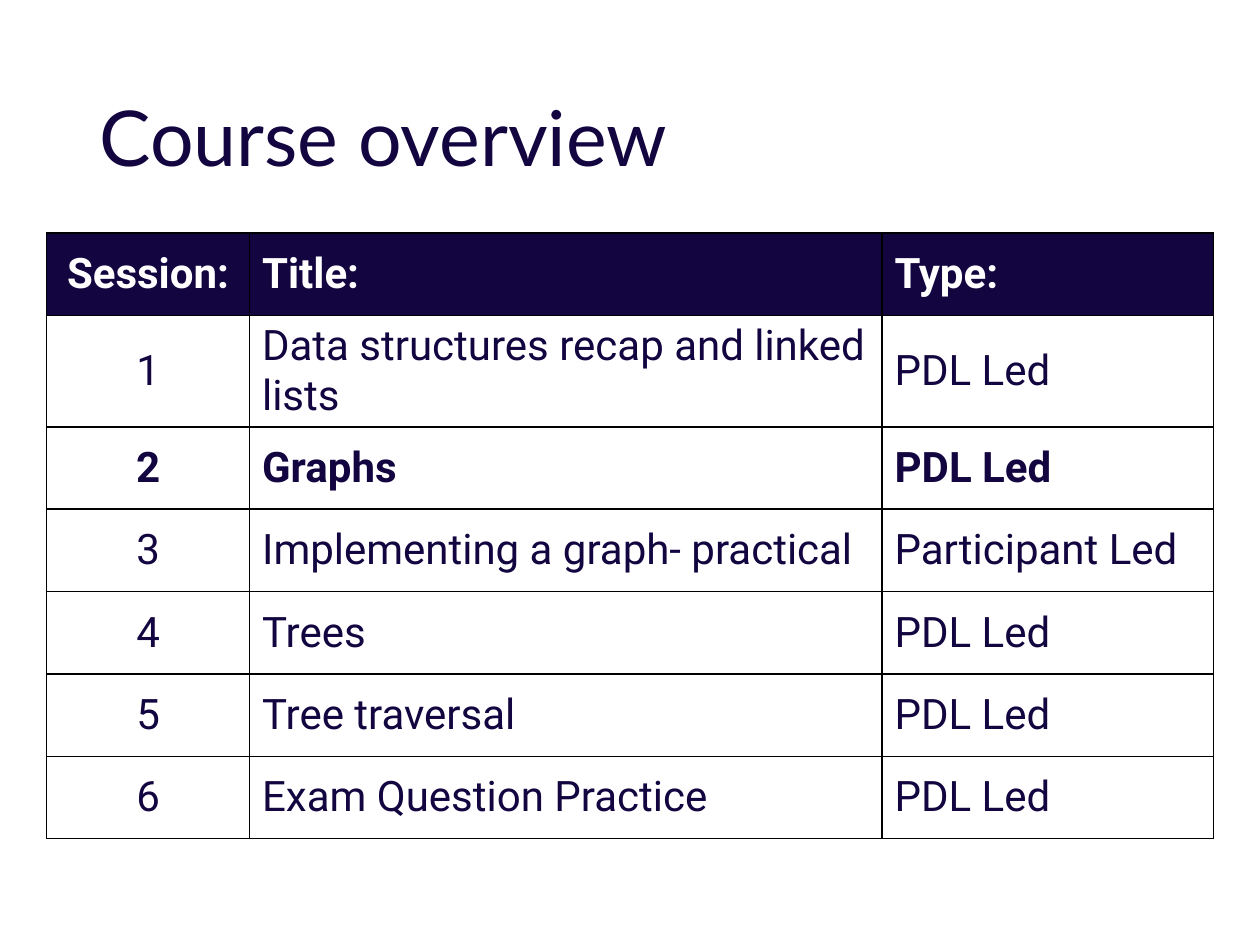
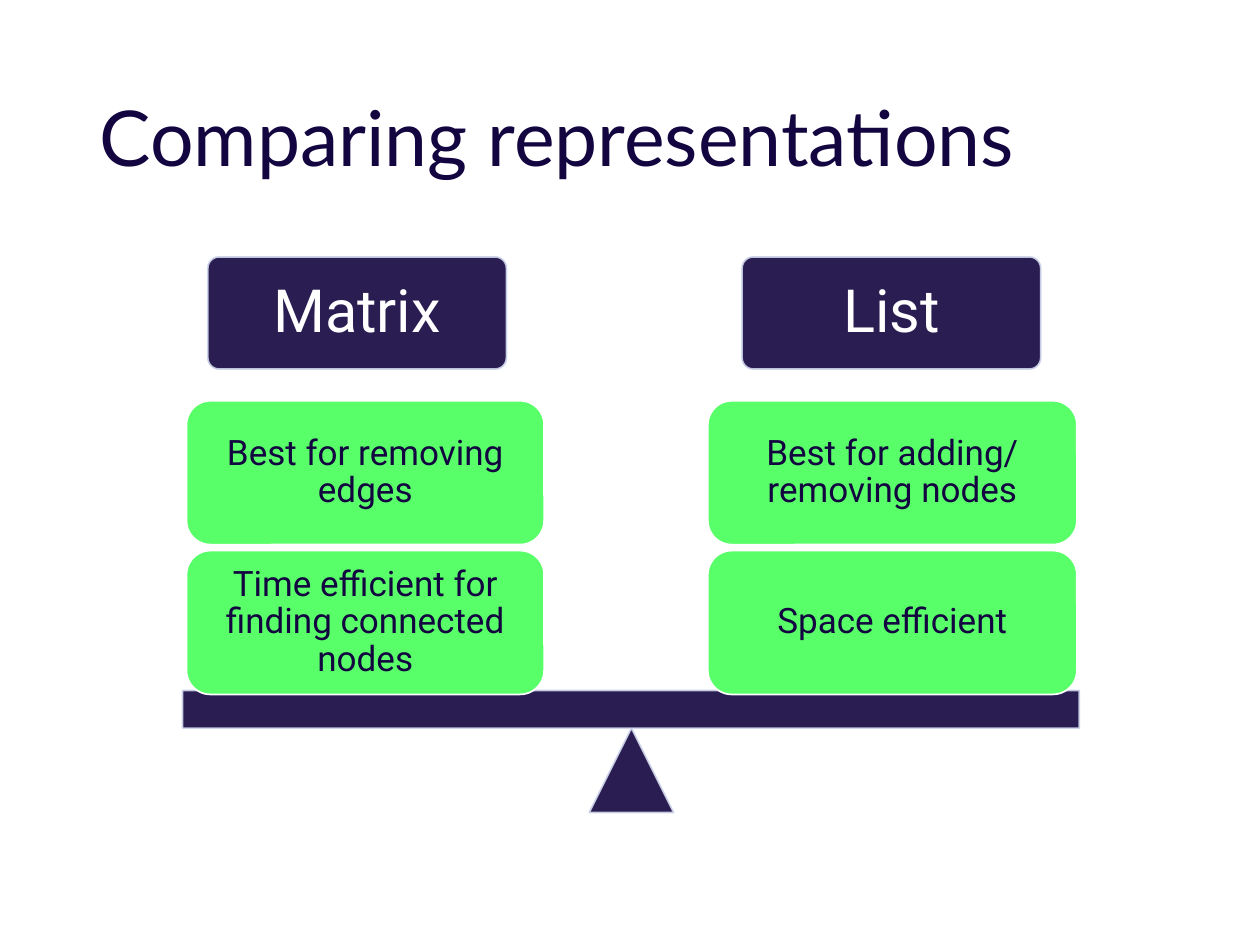
"""Build two course slides: a session table and a balance of graph representations."""
import lxml.etree
import pptx
import pptx.dml.color
import pptx.enum.shapes
import pptx.enum.text
import pptx.oxml.ns
import pptx.util

Cm = pptx.util.Cm
Pt = pptx.util.Pt
RGBColor = pptx.dml.color.RGBColor
Shape = pptx.enum.shapes.MSO_SHAPE
Align = pptx.enum.text.PP_ALIGN
Anchor = pptx.enum.text.MSO_ANCHOR
qn = pptx.oxml.ns.qn

NAVY = RGBColor(0x12, 0x05, 0x40)
GREEN = RGBColor(0x59, 0xFF, 0x69)
PALE = RGBColor(0xCF, 0xD5, 0xEA)
WHITE = RGBColor(0xFF, 0xFF, 0xFF)
BLACK = RGBColor(0, 0, 0)
TITLE_FONT = "Lato"
BODY_FONT = "Roboto"

SESSIONS = [
    ("Session:", "Title:", "Type:"),
    ("1", "Data structures recap and linked lists", "PDL Led"),
    ("2", "Graphs", "PDL Led"),
    ("3", "Implementing a graph- practical", "Participant Led"),
    ("4", "Trees", "PDL Led"),
    ("5", "Tree traversal", "PDL Led"),
    ("6", "Exam Question Practice", "PDL Led"),
]
CURRENT_SESSION = 2
COLUMN_WIDTHS = (4.09, 12.75, 6.68)
ROW_HEIGHT = 1.66

HEADING_TOP, HEADING_WIDTH, HEADING_HEIGHT = 5.18, 6.02, 2.26
CARD_TOP, CARD_HEIGHT, CARD_STEP = 8.08, 2.9, 3.02
SIDES = [
    ("Matrix", 4.19, 3.76, 7.21,
     ("Best for removing edges", "Time efficient for finding connected nodes")),
    ("List", 14.96, 14.27, 7.44,
     ("Best for adding/ removing nodes", "Space efficient")),
]


def style_paragraph(paragraph, font_name, size, color, align, bold=False):
    paragraph.alignment = align
    font = paragraph.font
    font.name, font.size, font.bold = font_name, Pt(size), bold
    font.color.rgb = color


def add_titled_page(deck, title):
    page = deck.slides.add_slide(deck.slide_layouts[5])
    box = page.shapes.title
    box.left, box.top, box.width, box.height = Cm(1.75), Cm(1.02), Cm(21.9), Cm(3.68)
    box.text_frame.text = title
    box.text_frame.vertical_anchor = Anchor.MIDDLE
    paragraph = box.text_frame.paragraphs[0]
    paragraph.line_spacing = 0.9
    style_paragraph(paragraph, TITLE_FONT, 44, NAVY, Align.LEFT)
    return page


def draw_cell_borders(cell):
    properties = cell._tc.get_or_add_tcPr()
    for side in ("lnL", "lnR", "lnT", "lnB"):
        line = lxml.etree.SubElement(properties, qn(f"a:{side}"), w=str(Pt(1)))
        fill = lxml.etree.SubElement(line, qn("a:solidFill"))
        lxml.etree.SubElement(fill, qn("a:srgbClr"), val=str(BLACK))


def fill_cell(cell, text, is_header, bold, align):
    draw_cell_borders(cell)
    if is_header:
        cell.fill.solid()
        cell.fill.fore_color.rgb = NAVY
    else:
        cell.fill.background()
    cell.vertical_anchor = Anchor.MIDDLE
    cell.text = text
    style_paragraph(cell.text_frame.paragraphs[0], BODY_FONT, 24,
                    WHITE if is_header else NAVY, align, bold)


def add_session_table(page):
    frame = page.shapes.add_table(
        len(SESSIONS), len(COLUMN_WIDTHS), Cm(0.94), Cm(4.7),
        Cm(sum(COLUMN_WIDTHS)), Cm(ROW_HEIGHT * len(SESSIONS)))
    table = frame.table
    table.first_row = table.horz_banding = False
    for column, width in zip(table.columns, COLUMN_WIDTHS):
        column.width = Cm(width)
    for row_index, session in enumerate(SESSIONS):
        table.rows[row_index].height = Cm(ROW_HEIGHT)
        for column_index, text in enumerate(session):
            align = Align.LEFT if column_index else Align.CENTER
            fill_cell(table.cell(row_index, column_index), text, row_index == 0,
                      row_index in (0, CURRENT_SESSION), align)


def add_solid(page, kind, left, top, width, height, fill, line):
    shape = page.shapes.add_shape(kind, Cm(left), Cm(top), Cm(width), Cm(height))
    shape.shadow.inherit = False
    shape.fill.solid()
    shape.fill.fore_color.rgb = fill
    shape.line.color.rgb = line
    shape.line.width = Pt(1)
    return shape


def add_dark_shape(page, kind, left, top, width, height):
    shape = add_solid(page, kind, left, top, width, height, NAVY, PALE)
    for color in shape._element.spPr.iter(qn("a:srgbClr")):
        lxml.etree.SubElement(color, qn("a:alpha"), val="90000")
    return shape


def write_label(shape, text, size, color, inset):
    frame = shape.text_frame
    frame.word_wrap = True
    frame.vertical_anchor = Anchor.MIDDLE
    frame.margin_left = frame.margin_right = Cm(inset)
    frame.margin_top = frame.margin_bottom = Cm(inset)
    frame.text = text
    paragraph = frame.paragraphs[0]
    paragraph.line_spacing = 0.9
    style_paragraph(paragraph, BODY_FONT, size, color, Align.CENTER)


def add_heading(page, text, left):
    shape = add_dark_shape(page, Shape.ROUNDED_RECTANGLE, left, HEADING_TOP,
                           HEADING_WIDTH, HEADING_HEIGHT)
    shape.adjustments[0] = 0.1
    write_label(shape, text, 34, WHITE, 0.3)


def add_card(page, text, left, top, width):
    shape = add_solid(page, Shape.ROUNDED_RECTANGLE, left, top, width, CARD_HEIGHT,
                      GREEN, WHITE)
    write_label(shape, text, 20, NAVY, 0.2)


def add_balance(page):
    add_dark_shape(page, Shape.ISOSCELES_TRIANGLE, 11.88, 14.68, 1.7, 1.7)
    add_dark_shape(page, Shape.RECTANGLE, 3.68, 13.92, 18.08, 0.76)
    for heading, heading_left, card_left, card_width, cards in SIDES:
        add_heading(page, heading, heading_left)
        for index, text in enumerate(cards):
            add_card(page, text, card_left, CARD_TOP + index * CARD_STEP, card_width)


def main():
    deck = pptx.Presentation()
    deck.slide_width, deck.slide_height = Cm(25.4), Cm(19.05)
    add_session_table(add_titled_page(deck, "Course overview"))
    add_balance(add_titled_page(deck, "Comparing representations"))
    deck.save("out.pptx")


if __name__ == "__main__":
    main()
